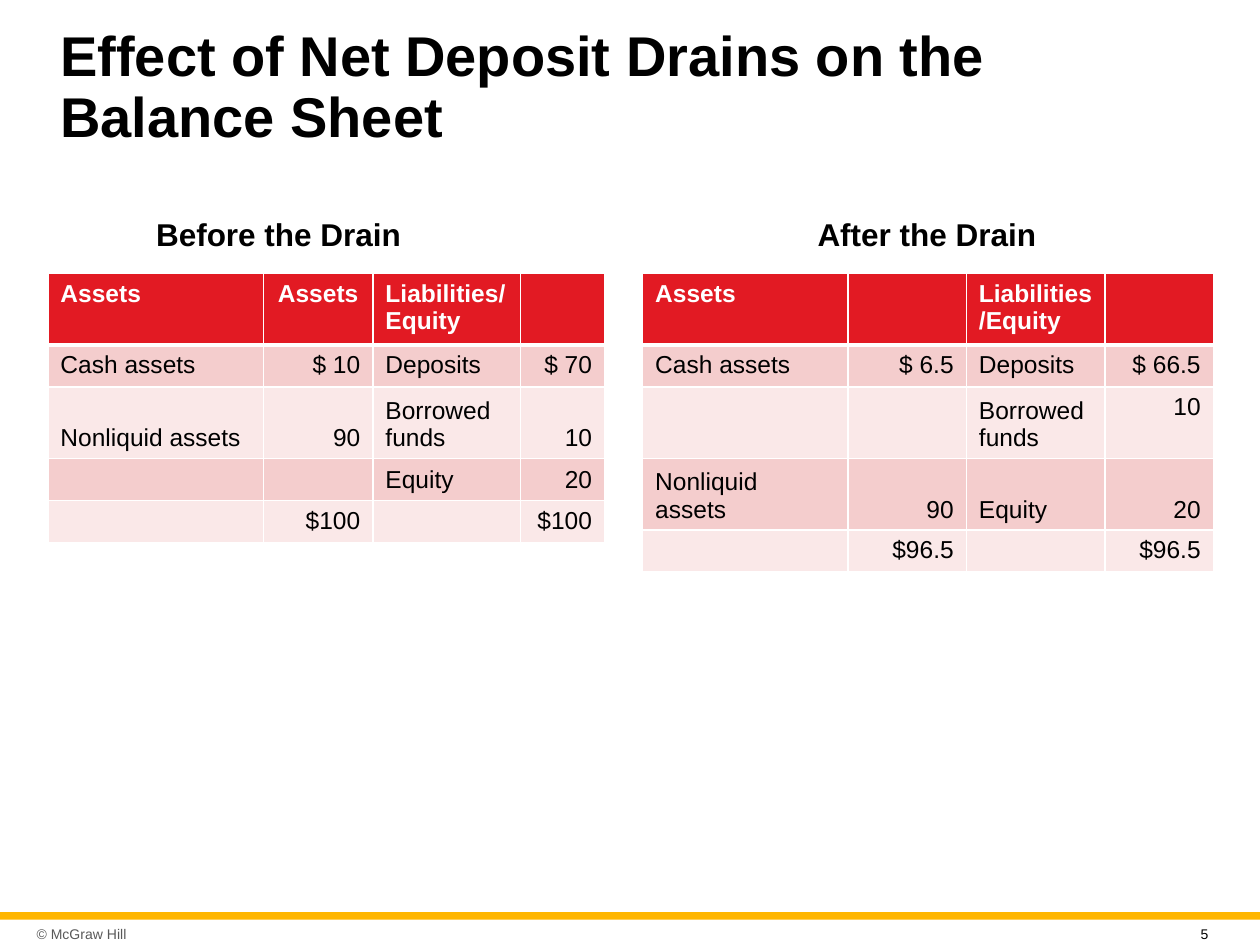
from lxml import etree
from pptx import Presentation
from pptx import util as u
from pptx.dml.color import RGBColor
from pptx.enum import shapes, text
from pptx.oxml.ns import qn

BLACK = RGBColor(0x00, 0x00, 0x00)
WHITE = RGBColor(0xFF, 0xFF, 0xFF)
GRAY = RGBColor(0x59, 0x59, 0x59)
GOLD = RGBColor(0xFF, 0xB6, 0x00)
RED = RGBColor(0xE2, 0x1A, 0x23)
DARK_BAND = RGBColor(0xF4, 0xCD, 0xCD)
LIGHT_BAND = RGBColor(0xFA, 0xE8, 0xE8)

FONT = "Arial"
CELL_SIZE = 14
BOTTOM_ROWS = (2, 3)
AMOUNT_COLUMNS = (1, 3)

BEFORE = [
    ["Assets", "Assets", "Liabilities/Equity", ""],
    ["Cash assets", "$ 10", "Deposits", "$ 70"],
    ["Nonliquid assets", "90", "Borrowed funds", "10"],
    ["", "", "Equity", "20"],
    ["", "$100", "", "$100"],
]
AFTER = [
    ["Assets", "", "Liabilities/Equity", ""],
    ["Cash assets", "$ 6.5", "Deposits", "$ 66.5"],
    ["", "", "Borrowed funds", "10"],
    ["Nonliquid assets", "90", "Equity", "20"],
    ["", "$96.5", "", "$96.5"],
]


def add_span(para, words, size, color, bold=False):
    span = para.add_run()
    span.text = words
    span.font.name = FONT
    span.font.size = u.Pt(size)
    span.font.bold = bold
    span.font.color.rgb = color


def add_text(page, place, words, size, color=BLACK, bold=False,
             anchor=text.MSO_ANCHOR.TOP, spacing=None, inset=None):
    box = page.shapes.add_textbox(*map(u.Inches, place))
    frame = box.text_frame
    frame.word_wrap = True
    frame.vertical_anchor = anchor
    if inset is not None:
        frame.margin_left = frame.margin_right = u.Inches(inset)
        frame.margin_top = frame.margin_bottom = u.Inches(inset)
    para = frame.paragraphs[0]
    if spacing:
        para.line_spacing = spacing
    add_span(para, words, size, color, bold)


def add_bar(page, place, color):
    bar = page.shapes.add_shape(shapes.MSO_SHAPE.RECTANGLE, *map(u.Inches, place))
    bar.shadow.inherit = False
    bar.fill.solid()
    bar.fill.fore_color.rgb = color
    bar.line.fill.background()


def set_borders(cell, widths):
    """Draw white borders; widths are points for left, right, top, bottom."""
    props = cell._tc.get_or_add_tcPr()
    for index, (side, width) in enumerate(zip("LRTB", widths)):
        line = etree.Element(qn(f"a:ln{side}"), w=str(u.Pt(width)))
        fill = etree.SubElement(line, qn("a:solidFill"))
        etree.SubElement(fill, qn("a:srgbClr"), val=str(WHITE))
        props.insert(index, line)


def fill_cell(cell, words, row, column, bottom):
    header = row == 0
    cell.fill.solid()
    cell.fill.fore_color.rgb = RED if header else DARK_BAND if row % 2 else LIGHT_BAND
    set_borders(cell, (1, 1, 3 if row == 1 else 1, 3 if header else 1))
    cell.vertical_anchor = text.MSO_ANCHOR.BOTTOM if bottom else text.MSO_ANCHOR.TOP
    para = cell.text_frame.paragraphs[0]
    if column in AMOUNT_COLUMNS:
        para.alignment = text.PP_ALIGN.CENTER if header else text.PP_ALIGN.RIGHT
    if words:
        add_span(para, words, CELL_SIZE, WHITE if header else BLACK, header)
    else:
        # An empty cell keeps the text size so that its row stays low
        etree.SubElement(para._p, qn("a:endParaRPr"), sz=str(CELL_SIZE * 100))


def add_balance_sheet(page, left, widths, heights, rows, top_cells=()):
    frame = page.shapes.add_table(
        len(rows), len(widths), u.Inches(left), u.Inches(2.17),
        u.Inches(sum(widths)), u.Inches(sum(heights)))
    table = frame.table
    for column, width in zip(table.columns, widths):
        column.width = u.Inches(width)
    for row, height in zip(table.rows, heights):
        row.height = u.Inches(height)
    for r, row in enumerate(rows):
        for c, words in enumerate(row):
            bottom = r in BOTTOM_ROWS and (r, c) not in top_cells
            fill_cell(table.cell(r, c), words, r, c, bottom)


def main():
    deck = Presentation()
    deck.slide_width, deck.slide_height = u.Inches(10), u.Inches(7.5)
    page = deck.slides.add_slide(deck.slide_layouts[6])
    middle = text.MSO_ANCHOR.MIDDLE

    # Footer
    add_bar(page, (0, 7.24, 10, 0.06), GOLD)
    add_text(page, (0.24, 7.29, 1.35, 0.24), "© McGraw Hill", 8, GRAY,
             anchor=middle, inset=0.05)

    # Title
    add_text(page, (0.38, 0.21, 9.25, 0.99),
             "Effect of Net Deposit Drains on the Balance Sheet", 32,
             bold=True, anchor=middle, spacing=0.9)

    # Balance sheet before the drain
    add_text(page, (1.14, 1.69, 2.25, 0.39), "Before the Drain", 18,
             bold=True, spacing=0.9)
    add_balance_sheet(page, 0.38, (1.71, 0.87, 1.17, 0.67),
                      (0.54, 0.32, 0.54, 0.32, 0.32), BEFORE)

    # Balance sheet after the drain
    add_text(page, (6.39, 1.69, 2.03, 0.38), "After the Drain", 18,
             bold=True, spacing=0.9)
    add_balance_sheet(page, 5.1, (1.63, 0.94, 1.1, 0.86),
                      (0.54, 0.32, 0.54, 0.54, 0.32), AFTER, top_cells={(2, 3)})

    # Page number
    add_text(page, (9.43, 7.3, 0.39, 0.18), "5", 8)

    deck.save("out.pptx")


if __name__ == "__main__":
    main()
